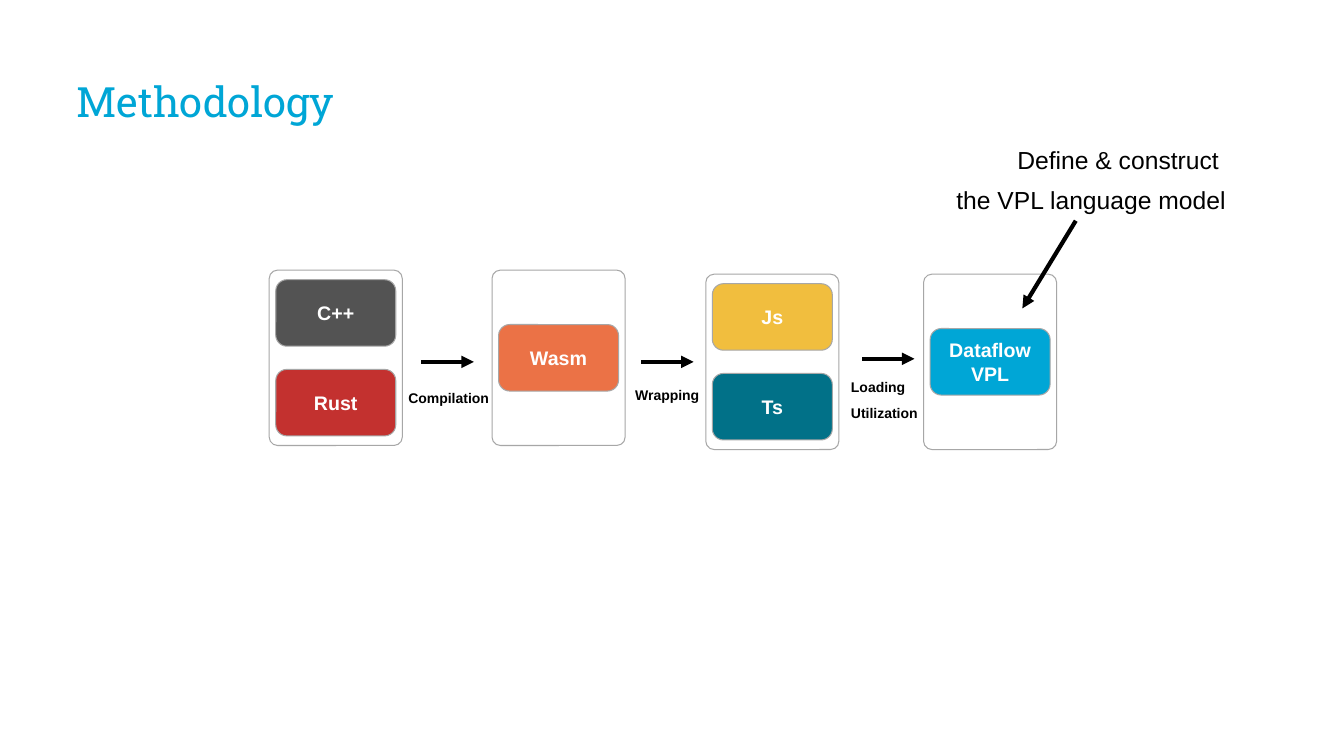
from lxml.etree import SubElement
from pptx import Presentation
from pptx.dml.color import RGBColor
from pptx.enum.shapes import MSO_CONNECTOR, MSO_SHAPE
from pptx.enum.text import MSO_ANCHOR, PP_ALIGN
from pptx.oxml.ns import qn
from pptx.util import Inches, Pt

COLORS = {
    "black": "000000", "white": "FFFFFF", "outline": "A7A7A7", "cyan": "00A6D6",
    "gray": "535353", "red": "C3312F", "orange": "EB7246", "yellow": "F1BE3E",
    "teal": "017188",
}

# Left and top of each stage frame, then its chips: lines of text and fill
STAGES = [
    (2.67, 2.68, [(["C++"], "gray"), (["Rust"], "red")]),
    (4.88, 2.68, [(["Wasm"], "orange")]),
    (7.00, 2.72, [(["Js"], "yellow"), (["Ts"], "teal")]),
    (9.16, 2.72, [(["Dataflow", "VPL"], "cyan")]),
]
FRAME_WIDTH, FRAME_HEIGHT = 1.32, 1.74
CHIP_WIDTH, CHIP_HEIGHT, CHIP_GAP = 1.19, 0.66, 0.23

ARROWS = [
    ((4.18, 3.59), (4.70, 3.59)),
    ((6.36, 3.59), (6.88, 3.59)),
    ((8.55, 3.56), (9.07, 3.56)),
    ((10.67, 2.19), (10.14, 3.06)),
]

TITLE_FONT = {"name": "Roboto Slab", "size": Pt(29.8), "bold": False}
NOTE_FONT = {"name": "Arial", "size": Pt(17.6), "bold": False}
STEP_FONT = {"name": "Arial", "size": Pt(10), "bold": True}
CHIP_FONT = {"name": "Arial", "size": Pt(14), "bold": True}

# Position and size, lines, font, color, line spacing, alignment
TEXTS = [
    ((0.76, 0.81, 11.81, 0.54), ["Methodology"], TITLE_FONT, "cyan", 0.9, PP_ALIGN.LEFT),
    ((4.05, 3.78, 1.38, 0.75), ["Compilation"], STEP_FONT, "black", 1.5, PP_ALIGN.LEFT),
    ((6.30, 3.75, 1.42, 0.75), ["Wrapping"], STEP_FONT, "black", 1.5, PP_ALIGN.LEFT),
    ((8.44, 3.83, 1.42, 0.75), ["Loading", "Utilization"], STEP_FONT, "black", 0.5,
     PP_ALIGN.LEFT),
    ((0.76, 1.49, 11.40, 0.66), ["Define & construct ", "the VPL language model"],
     NOTE_FONT, "black", 0.8, PP_ALIGN.RIGHT),
]


def rgb(name):
    return RGBColor.from_string(COLORS[name])


def write_lines(frame, lines, font, color, spacing, alignment, gap, margin):
    frame.word_wrap = True
    for side in ("left", "top", "right", "bottom"):
        setattr(frame, f"margin_{side}", Inches(margin))
    for index, line in enumerate(lines):
        paragraph = frame.add_paragraph() if index else frame.paragraphs[0]
        paragraph.text = line
        paragraph.alignment = alignment
        paragraph.line_spacing = spacing
        paragraph.space_before = Pt(gap if index else 0)
        for key, value in font.items():
            setattr(paragraph.font, key, value)
        paragraph.font.color.rgb = rgb(color)


def add_rounded_box(slide, box, radius, fill=None):
    shape = slide.shapes.add_shape(MSO_SHAPE.ROUNDED_RECTANGLE, *map(Inches, box))
    shape.adjustments[0] = radius
    shape.shadow.inherit = False
    if fill:
        shape.fill.solid()
        shape.fill.fore_color.rgb = rgb(fill)
    else:
        shape.fill.background()
    shape.line.color.rgb = rgb("outline")
    shape.line.width = Pt(0.75)
    return shape


def add_stage(slide, left, top, chips):
    """Draw a frame with its chips stacked around the middle."""
    add_rounded_box(slide, (left, top, FRAME_WIDTH, FRAME_HEIGHT), 0.063)
    pitch = CHIP_HEIGHT + CHIP_GAP
    stack_height = len(chips) * pitch - CHIP_GAP
    chip_left = left + (FRAME_WIDTH - CHIP_WIDTH) / 2
    chip_top = top + (FRAME_HEIGHT - stack_height) / 2
    for index, (lines, fill) in enumerate(chips):
        box = (chip_left, chip_top + index * pitch, CHIP_WIDTH, CHIP_HEIGHT)
        chip = add_rounded_box(slide, box, 0.167, fill)
        chip.text_frame.vertical_anchor = MSO_ANCHOR.MIDDLE
        write_lines(chip.text_frame, lines, CHIP_FONT, "white", 1.0,
                    PP_ALIGN.CENTER, gap=0, margin=0.1)


def add_arrow(slide, start, end):
    arrow = slide.shapes.add_connector(
        MSO_CONNECTOR.STRAIGHT, *map(Inches, (*start, *end)))
    arrow.line.color.rgb = rgb("black")
    arrow.line.width = Pt(3)
    SubElement(arrow.line._get_or_add_ln(), qn("a:tailEnd"), type="triangle")
    SubElement(arrow._element.spPr, qn("a:effectLst"))


def main():
    presentation = Presentation()
    presentation.slide_width = Inches(13.33)
    presentation.slide_height = Inches(7.5)
    slide = presentation.slides.add_slide(presentation.slide_layouts[6])
    for stage in STAGES:
        add_stage(slide, *stage)
    for box, *content in TEXTS:
        text_box = slide.shapes.add_textbox(*map(Inches, box))
        write_lines(text_box.text_frame, *content, gap=12, margin=0)
    for start, end in ARROWS:
        add_arrow(slide, start, end)
    presentation.save("out.pptx")


if __name__ == "__main__":
    main()
